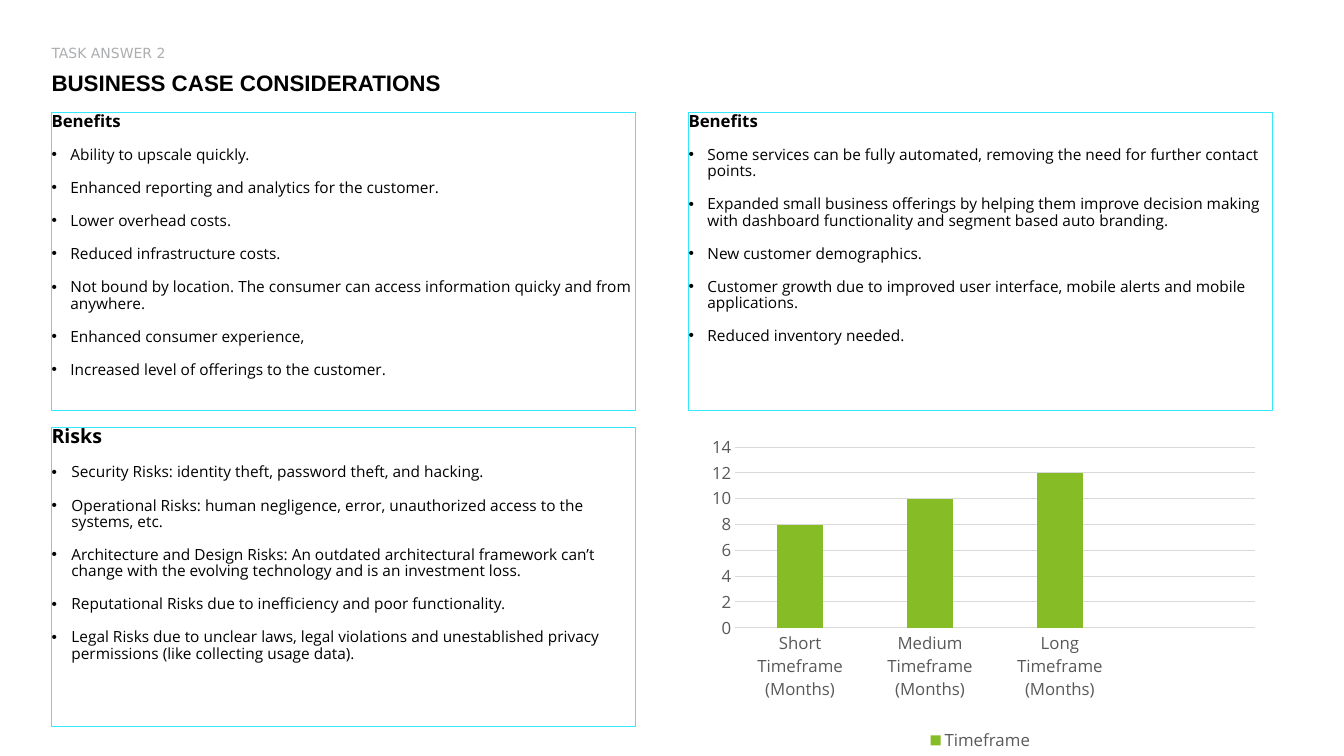
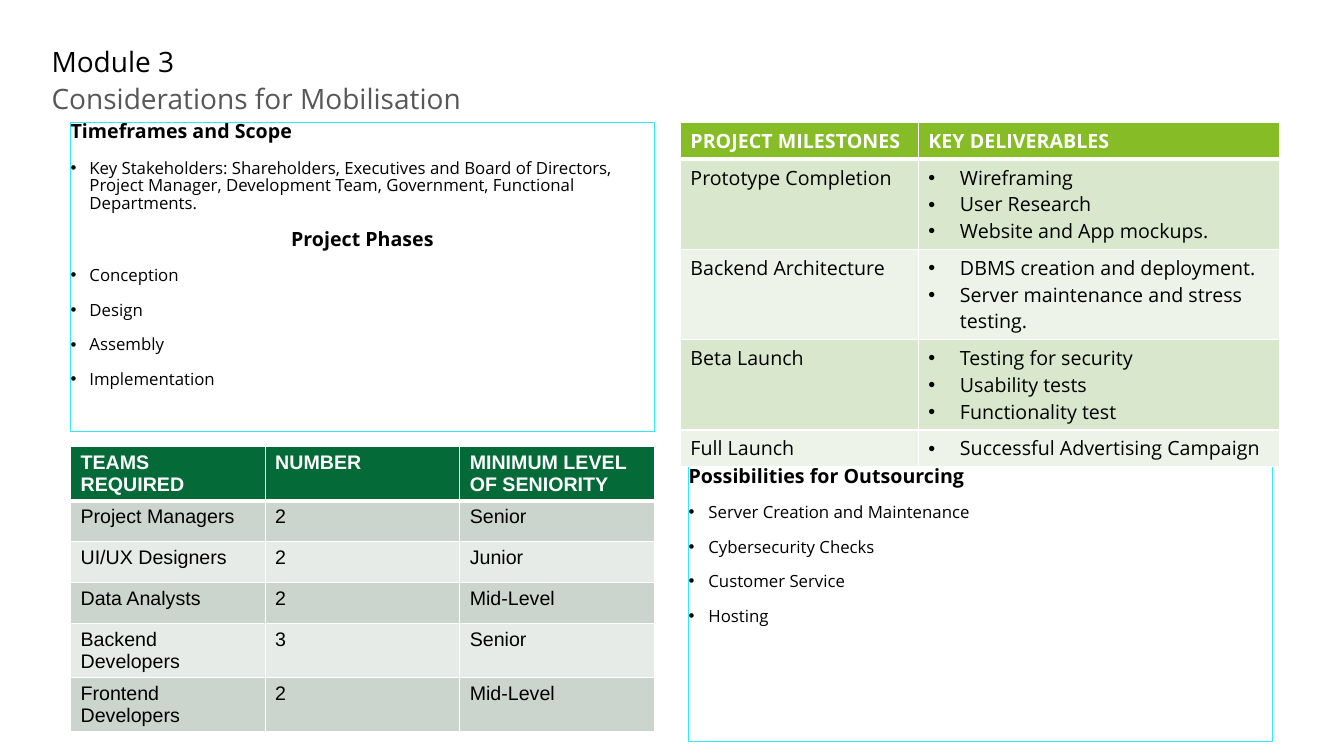
import pptx
import pptx.chart.data
import pptx.dml.color
import pptx.enum.chart
import pptx.enum.text
import pptx.oxml
import pptx.oxml.ns
import pptx.util

Pt = pptx.util.Pt
ALIGN = pptx.enum.text.PP_ALIGN

# Shared look
BLACK, WHITE, GREY = "000000", "FFFFFF", "595959"
GRID, CYAN, GREEN = "D9D9D9", "32E9FF", "86BC25"
SANS = "Open Sans"
LEFT, RIGHT, PANEL_WIDTH = 36.8, 491.8, 417
HEADER_WIDTH = 721.5
LINE_SPACING = 0.88

# Headers: text, top, height, size, font, colour, bold
# Panels: box, heading size, item size, indent, sections of (heading, items)
CASE_TITLE = ("TASK ANSWER 2", 31.7, 10, 10, "DejaVu Sans", "ACAEB0", False)
CASE_SUBTITLE = ("BUSINESS CASE CONSIDERATIONS", 49.7, 24, 16, "Arial", BLACK, True)
CASE_PANELS = [
    ((LEFT, 80.6, PANEL_WIDTH, 213), 12, 11, 13.5, [("Benefits", [
        "Ability to upscale quickly.",
        "Enhanced reporting and analytics for the customer.",
        "Lower overhead costs.",
        "Reduced infrastructure costs.",
        "Not bound by location. The consumer can access information quicky and from anywhere.",
        "Enhanced consumer experience,",
        "Increased level of offerings to the customer."])]),
    ((RIGHT, 80.6, PANEL_WIDTH, 213), 12, 11, 13.5, [("Benefits", [
        "Some services can be fully automated, removing the need for further contact points.",
        "Expanded small business offerings by helping them improve decision making with "
        "dashboard functionality and segment based auto branding.",
        "New customer demographics.",
        "Customer growth due to improved user interface, mobile alerts and mobile applications.",
        "Reduced inventory needed."])]),
    ((LEFT, 305.3, PANEL_WIDTH, 213.8), 14, 11, 14.2, [("Risks", [
        "Security Risks: identity theft, password theft, and hacking.",
        "Operational Risks: human negligence, error, unauthorized access to the systems, etc.",
        "Architecture and Design Risks: An outdated architectural framework can’t change "
        "with the evolving technology and is an investment loss.",
        "Reputational Risks due to inefficiency and poor functionality.",
        "Legal Risks due to unclear laws, legal violations and unestablished privacy "
        "permissions (like collecting usage data)."])]),
]
TIMEFRAMES = [("Short Timeframe (Months)", 8), ("Medium Timeframe (Months)", 10),
              ("Long Timeframe (Months)", 12), ("", None)]

MODULE_TITLE = ("Module 3", 31.7, 26.6, 20, SANS, BLACK, False)
MODULE_SUBTITLE = ("Considerations for Mobilisation", 58.3, 29.5, 20, SANS, "575757", False)
MODULE_PANELS = [
    ((50.4, 87.4, PANEL_WIDTH, 221), 14, 12, 13.5, [
        ("Timeframes and Scope", [
            "Key Stakeholders: Shareholders, Executives and Board of Directors, Project "
            "Manager, Development Team, Government, Functional Departments."]),
        ("Project Phases", ["Conception", "Design", "Assembly", "Implementation"])]),
    ((RIGHT, 333.4, PANEL_WIDTH, 196), 14, 12, 14.2, [("Possibilities for Outsourcing", [
        "Server Creation and Maintenance", "Cybersecurity Checks",
        "Customer Service", "Hosting"])]),
]

# Tables: a list in a cell becomes bullets
MILESTONES = [
    ("PROJECT MILESTONES", "KEY DELIVERABLES"),
    ("Prototype Completion", ["Wireframing", "User Research", "Website and App mockups."]),
    ("Backend Architecture", ["DBMS creation and deployment.",
                              "Server maintenance and stress testing."]),
    ("Beta Launch", ["Testing for security", "Usability tests", "Functionality test"]),
    ("Full Launch", ["Successful Advertising Campaign"]),
]
TEAMS = [
    ("TEAMS REQUIRED", "NUMBER", "MINIMUM LEVEL OF SENIORITY"),
    ("Project Managers", "2", "Senior"),
    ("UI/UX Designers", "2", "Junior"),
    ("Data Analysts", "2", "Mid-Level"),
    ("Backend Developers", "3", "Senior"),
    ("Frontend Developers", "2", "Mid-Level"),
]


def rgb(value):
    return pptx.dml.color.RGBColor.from_string(value)


def set_font(font, size, color, name=SANS, bold=False):
    font.size, font.name, font.bold = Pt(size), name, bold
    font.color.rgb = rgb(color)


def set_bullet(paragraph, indent):
    """Give a hanging bullet, or none when the indent is 0."""
    props = paragraph._p.get_or_add_pPr()
    props.set("marL", str(Pt(indent)))
    props.set("indent", str(-Pt(indent)))
    tags = ('<a:buFont {0} typeface="Arial"/>', '<a:buChar {0} char="•"/>')
    for tag in tags if indent else ("<a:buNone {0}/>",):
        props.append(pptx.oxml.parse_xml(tag.format(pptx.oxml.ns.nsdecls("a"))))


def place(shape, box):
    shape.left, shape.top, shape.width, shape.height = map(Pt, box)
    frame = shape.text_frame
    frame.margin_left = frame.margin_right = frame.margin_top = frame.margin_bottom = 0
    frame.vertical_anchor = pptx.enum.text.MSO_ANCHOR.TOP
    frame.auto_size = pptx.enum.text.MSO_AUTO_SIZE.NONE
    frame.word_wrap = True
    return frame


def write_lines(frame, lines):
    """Yield one paragraph of the frame for each line."""
    for i, line in enumerate(lines):
        paragraph = frame.add_paragraph() if i else frame.paragraphs[0]
        paragraph.text = line
        yield paragraph


def fill_header(placeholder, header):
    text, top, height, size, name, color, bold = header
    frame = place(placeholder, (LEFT, top, HEADER_WIDTH, height))
    for paragraph in write_lines(frame, [text]):
        paragraph.alignment = ALIGN.LEFT
        paragraph.space_before = Pt(0)
        set_bullet(paragraph, 0)
        set_font(paragraph.font, size, color, name, bold)


def fill_panel(placeholder, panel):
    box, heading_size, item_size, indent, sections = panel
    frame = place(placeholder, box)
    placeholder.line.color.rgb = rgb(CYAN)
    placeholder.line.width = Pt(0.75)
    lines = []
    for i, (heading, items) in enumerate(sections):
        lines.append((heading, True, ALIGN.CENTER if i else ALIGN.LEFT))
        lines += [(item, False, ALIGN.LEFT) for item in items]
    paragraphs = write_lines(frame, [line[0] for line in lines])
    for paragraph, (_, is_heading, alignment) in zip(paragraphs, lines):
        paragraph.alignment = alignment
        paragraph.line_spacing = LINE_SPACING
        paragraph.space_before = paragraph.space_after = Pt(6)
        set_bullet(paragraph, 0 if is_heading else indent)
        set_font(paragraph.font, heading_size if is_heading else item_size,
                 BLACK, bold=is_heading)


def add_text_slide(deck, title, subtitle, panels):
    """Comparison layout: a title, a subtitle and up to three panels."""
    slide = deck.slides.add_slide(deck.slide_layouts.get_by_name("Comparison"))
    fill_header(slide.shapes.title, title)
    bodies = [p for p in slide.placeholders if p.placeholder_format.idx in (1, 2, 3, 4)]
    fill_header(bodies[0], subtitle)
    for body, panel in zip(bodies[1:], panels):
        fill_panel(body, panel)
    for unused in bodies[1 + len(panels):]:
        unused.element.getparent().remove(unused.element)
    return slide


def set_borders(cell, row):
    """White rules, thicker under the header row."""
    widths = {"L": 1, "R": 1, "T": 3 if row == 1 else 1, "B": 1 if row else 3}
    props = cell._tc.get_or_add_tcPr()
    for i, (side, width) in enumerate(widths.items()):
        props.insert(i, pptx.oxml.parse_xml(
            f'<a:ln{side} {pptx.oxml.ns.nsdecls("a")} w="{Pt(width)}"><a:solidFill>'
            f'<a:srgbClr val="{WHITE}"/></a:solidFill></a:ln{side}>'))


def add_grid(slide, left, top, col_widths, row_heights, rows, fills, font_name):
    """Table with a header fill and two alternating row fills."""
    header_fill, *bands = fills
    table = slide.shapes.add_table(len(rows), len(col_widths), Pt(left), Pt(top),
                                   Pt(sum(col_widths)), Pt(sum(row_heights))).table
    for column, width in zip(table.columns, col_widths):
        column.width = Pt(width)
    for r, (row, height) in enumerate(zip(rows, row_heights)):
        table.rows[r].height = Pt(height)
        for c, content in enumerate(row):
            cell = table.cell(r, c)
            cell.fill.solid()
            cell.fill.fore_color.rgb = rgb(bands[(r - 1) % 2] if r else header_fill)
            set_borders(cell, r)
            bulleted = isinstance(content, list)
            for paragraph in write_lines(cell.text_frame, content if bulleted else [content]):
                set_bullet(paragraph, 22.5 if bulleted else 0)
                set_font(paragraph.font, 14, BLACK if r else WHITE, font_name, r == 0)


def add_timeframe_chart(slide):
    data = pptx.chart.data.CategoryChartData()
    data.categories = [label for label, _ in TIMEFRAMES]
    data.add_series("Timeframe", [months for _, months in TIMEFRAMES])
    chart = slide.shapes.add_chart(
        pptx.enum.chart.XL_CHART_TYPE.COLUMN_CLUSTERED,
        Pt(RIGHT), Pt(305.3), Pt(PANEL_WIDTH), Pt(234.7), data).chart
    chart.has_title = False
    set_font(chart.font, 12, GREY)
    chart.has_legend = True
    chart.legend.position = pptx.enum.chart.XL_LEGEND_POSITION.BOTTOM
    chart.legend.include_in_layout = False
    set_font(chart.legend.font, 12, GREY)

    plot = chart.plots[0]
    plot.gap_width, plot.vary_by_categories = 182, False
    bars = plot.series[0].format.fill
    bars.solid()
    bars.fore_color.rgb = rgb(GREEN)

    months = chart.value_axis
    months.minimum_scale, months.maximum_scale, months.major_unit = 0, 14, 2
    months.format.line.fill.background()
    for axis in (chart.category_axis, months):
        axis.major_tick_mark = pptx.enum.chart.XL_TICK_MARK.NONE
        set_font(axis.tick_labels.font, 12, GREY)
    for line in (chart.category_axis.format.line, months.major_gridlines.format.line):
        line.color.rgb = rgb(GRID)
        line.width = Pt(0.75)

    # Fixed inner plot area
    area = chart.plots[0]._element.getparent()
    for old in area.findall(pptx.oxml.ns.qn("c:layout")):
        area.remove(old)
    sizes = "".join(f'<c:{key} val="{value}"/>' for key, value in (
        ("layoutTarget", "inner"), ("xMode", "edge"), ("yMode", "edge"),
        ("x", 0.08), ("y", 0.06), ("w", 0.89), ("h", 0.55)))
    area.insert(0, pptx.oxml.parse_xml(
        f'<c:layout {pptx.oxml.ns.nsdecls("c")}><c:manualLayout>{sizes}'
        '</c:manualLayout></c:layout>'))


def main():
    deck = pptx.Presentation()
    deck.slide_width, deck.slide_height = Pt(960), Pt(540)

    case = add_text_slide(deck, CASE_TITLE, CASE_SUBTITLE, CASE_PANELS)
    add_timeframe_chart(case)

    module = add_text_slide(deck, MODULE_TITLE, MODULE_SUBTITLE, MODULE_PANELS)
    add_grid(module, 486, 87.4, [170, 258], [24, 57.6, 57.6, 57.6, 24],
             MILESTONES, (GREEN, "D9E7CD", "EDF3E8"), SANS)
    add_grid(module, 50.4, 319, [PANEL_WIDTH / 3] * 3, [29.2] * len(TEAMS),
             TEAMS, ("046A38", "CCD4CE", "E7EBE8"), "Arial")
    deck.save("out.pptx")


if __name__ == "__main__":
    main()
